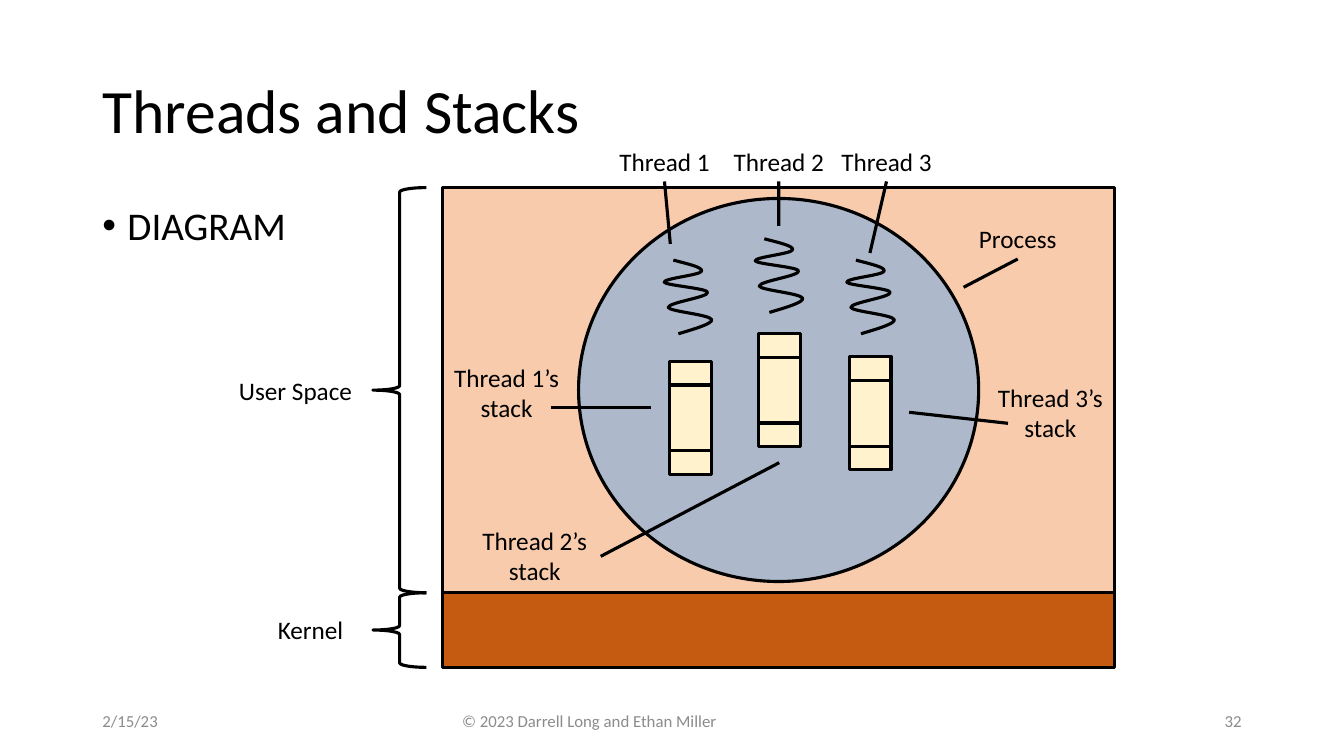
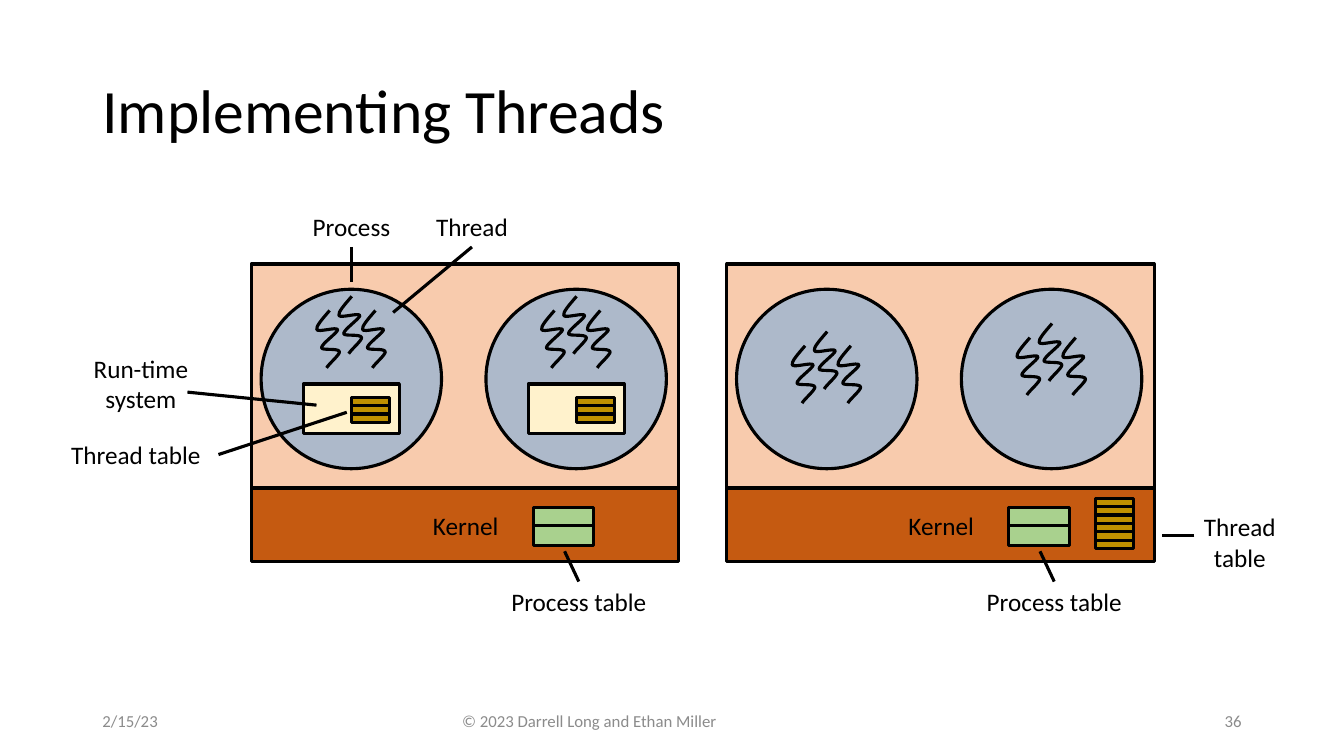
"""Build two slides that explain threads, their stacks and their implementation."""
from lxml import etree
from pptx import Presentation
from pptx.dml.color import RGBColor
from pptx.enum.shapes import MSO_CONNECTOR as Connector, MSO_SHAPE as Shape
from pptx.enum.text import MSO_ANCHOR as Anchor, PP_ALIGN as Align
from pptx.oxml.ns import qn
from pptx.util import Pt

FONT = "Calibri"
BLACK = RGBColor(0x00, 0x00, 0x00)
GRAY = RGBColor(0x8B, 0x8B, 0x8B)
USER_COLOR = RGBColor(0xF8, 0xCB, 0xAD)
KERNEL_COLOR = RGBColor(0xC5, 0x5A, 0x11)
PROCESS_COLOR = RGBColor(0xAD, 0xB9, 0xCA)
CREAM = RGBColor(0xFF, 0xF2, 0xCC)
GOLD = RGBColor(0xBF, 0x90, 0x00)
GREEN = RGBColor(0xA9, 0xD1, 0x8E)
LINE_WIDTH = Pt(2.25)
TOP, BOTTOM, RIGHT = 0, 2, 3

DATE = "2/15/23"
COPYRIGHT = "© 2023 Darrell Long and Ethan Miller"

SPRING = [
    ((10.8, 2.9), (20.9, 5), (20.2, 7.9)),
    ((19.4, 10.8), (-7.2, 13), (-6.5, 15.8)),
    ((-5.8, 18), (24.5, 20.2), (24.5, 23)),
    ((25.2, 26.6), (-3.6, 30.2), (-3.6, 33.8)),
    ((-2.9, 36.7), (25.9, 38.9), (27.4, 42.5)),
    ((28.1, 45.4), (15.8, 49), (3.6, 52.6)),
]
SQUIGGLE = [
    ((-5, 5.8), (-10.1, 11.5), (-9.2, 13.7)),
    ((-8, 15.8), (5, 11.5), (5.8, 13.7)),
    ((5.8, 15.8), (-5.8, 23.8), (-5.8, 26.6)),
    ((-5.8, 28.8), (6.5, 26.6), (7, 29.5)),
    ((7.2, 31.7), (-0.7, 38.2), (-2.2, 41)),
]
SQUIGGLE_OFFSETS = [(0, 0), (16.9, 10.1), (-15.8, 10.1)]

SPRING_STARTS = [(481, 185.8), (546, 170.6), (611.4, 185.8)]
STACK_CORNERS = [(478.4, 258), (542, 238.2), (606.8, 254.7)]
STACK_WIDTH, STACK_HEIGHTS = 29.7, (17, 47, 17)
SPACES = [
    ("User Space", USER_COLOR, 134, 289.4, (163.6, 264.6, 140.4), Align.LEFT),
    ("Kernel", KERNEL_COLOR, 423.4, 53.3, (172.1, 435.6, 99.4), Align.CENTER),
]

# Each callout: text, left, top, width, start (side of the label or a point), target
STACK_CALLOUTS = [
    ("Process", 678.4, 156.2, 97.2, BOTTOM, (688.3, 205.2)),
    ("Thread 1", 428.2, 100.8, 92.9, BOTTOM, (478.8, 174.2)),
    ("Thread 2", 509.8, 100.8, 92.9, BOTTOM, (556.3, 161.3)),
    ("Thread 3", 586.8, 100.8, 92.9, BOTTOM, (621.4, 180.7)),
    ("Thread 1’s stack", 315.4, 255.2, 92.9, (393.8, 290.9), (465.1, 290.9)),
    ("Thread 2’s stack", 335.5, 371.5, 92.9, (429.1, 397.4), (556.6, 330.5)),
    ("Thread 3’s stack", 703.8, 269.3, 92.9, (720, 302.4), (649.4, 294.5)),
]
IMPLEMENTATION_CALLOUTS = [
    ("Process", 205.4, 147.6, 91.4, BOTTOM, (251.1, 201.6)),
    ("Thread", 296.8, 147.6, 80.6, BOTTOM, (280.8, 223.2)),
    ("Run-time system", 38, 248.7, 125.3, (133.9, 280.1), (226.1, 289.4)),
    ("Thread table", 38, 310.3, 118.1, RIGHT, (247.7, 294.5)),
    ("Thread table", 833.4, 361.9, 104.4, (853.2, 382.8), (830.2, 382.8)),
]

PANEL_LEFTS = (179.5, 519.1)
PANEL_WIDTH = 305.3
CIRCLE_SHIFTS = (7, 167.6)
CIRCLE_TOP, CIRCLE_WIDTH, CIRCLE_HEIGHT = 206.6, 128.9, 128.2
SQUIGGLE_TOPS = ((211.7, 211.7), (236.9, 231.1))
TABLE_WIDTH, TABLE_ROW = 26.8, 6


def write(shape, text, size, color=BLACK, align=Align.CENTER, anchor=Anchor.TOP):
    frame = shape.text_frame
    frame.word_wrap = True
    frame.vertical_anchor = anchor
    paragraph = frame.paragraphs[0]
    paragraph.text = text
    paragraph.alignment = align
    font = paragraph.font
    font.name, font.size, font.color.rgb = FONT, Pt(size), color
    return paragraph


def add_text(slide, text, left, top, width, size=18, height=28.8, **style):
    box = slide.shapes.add_textbox(Pt(left), Pt(top), Pt(width), Pt(height))
    write(box, text, size, **style)
    return box


def outline(shape, fill=None):
    shape.shadow.inherit = False
    if fill is None:
        shape.fill.background()
    else:
        shape.fill.solid()
        shape.fill.fore_color.rgb = fill
    shape.line.color.rgb = BLACK
    shape.line.width = LINE_WIDTH


def add_figure(slide, kind, left, top, width, height, fill=None):
    shape = slide.shapes.add_shape(kind, Pt(left), Pt(top), Pt(width), Pt(height))
    outline(shape, fill)


def add_cells(slide, left, top, width, heights, fill):
    for height in heights:
        add_figure(slide, Shape.RECTANGLE, left, top, width, height, fill)
        top += height


def add_curve(slide, left, top, segments):
    builder = slide.shapes.build_freeform(Pt(left), Pt(top))
    ends = [(Pt(left + x), Pt(top + y)) for *_, (x, y) in segments]
    builder.add_line_segments(ends, close=False)
    shape = builder.convert_to_shape()
    lines = list(shape._element.iter(qn("a:lnTo")))
    for line, (*controls, _) in zip(lines, segments):
        line.tag = qn("a:cubicBezTo")
        for index, (x, y) in enumerate(controls):
            point = etree.Element(qn("a:pt"))
            point.set("x", str(Pt(left + x) - shape.left))
            point.set("y", str(Pt(top + y) - shape.top))
            line.insert(index, point)
    outline(shape)


def add_callout(slide, text, left, top, width, start, target):
    label = add_text(slide, text, left, top, width)
    joined = isinstance(start, int)
    x, y = target if joined else start
    line = slide.shapes.add_connector(Connector.STRAIGHT, Pt(x), Pt(y), *map(Pt, target))
    if joined:
        line.begin_connect(label, start)
    line.line.color.rgb = BLACK
    line.line.width = LINE_WIDTH
    etree.SubElement(line._element.spPr, qn("a:effectLst"))


def add_slide(presentation, title, number):
    slide = presentation.slides.add_slide(presentation.slide_layouts[5])
    shape = slide.shapes.title
    shape.left, shape.top, shape.width, shape.height = Pt(66), Pt(28.8), Pt(828), Pt(104.4)
    write(shape, title, 44, align=Align.LEFT, anchor=Anchor.MIDDLE).line_spacing = 0.9
    for text, left, width, align in [
        (DATE, 66, 98, Align.LEFT),
        (COPYRIGHT, 219, 404, Align.CENTER),
        (number, 678, 216, Align.RIGHT),
    ]:
        add_text(slide, text, left, 500.4, width, 12, color=GRAY, align=align, anchor=Anchor.MIDDLE)
    return slide


def add_bullet(slide, text):
    box = slide.shapes.add_textbox(Pt(66), Pt(144), Pt(828), Pt(342.7))
    properties = box.text_frame.paragraphs[0]._p.get_or_add_pPr()
    properties.set("marL", str(Pt(18)))
    properties.set("indent", str(-Pt(18)))
    etree.SubElement(properties, qn("a:buFont"), typeface="Arial")
    etree.SubElement(properties, qn("a:buChar"), char="•")
    write(box, text, 28, align=Align.LEFT).line_spacing = 0.9


def build_stacks(presentation):
    slide = add_slide(presentation, "Threads and Stacks", "32")
    add_bullet(slide, "DIAGRAM")
    for name, color, top, height, label, align in SPACES:
        add_figure(slide, Shape.RECTANGLE, 316.1, top, 480.2, height, color)
        add_figure(slide, Shape.LEFT_BRACE, 266.4, top, 38.2, height)
        add_text(slide, name, *label, align=align)
    add_figure(slide, Shape.OVAL, 413.3, 141.8, 285.8, 273.6, PROCESS_COLOR)
    for spring, stack in zip(SPRING_STARTS, STACK_CORNERS):
        add_curve(slide, *spring, SPRING)
        add_cells(slide, *stack, STACK_WIDTH, STACK_HEIGHTS, CREAM)
    for callout in STACK_CALLOUTS:
        add_callout(slide, *callout)


def add_panel(slide, left, squiggle_tops, user_level):
    add_figure(slide, Shape.RECTANGLE, left, 188.6, PANEL_WIDTH, 160, USER_COLOR)
    add_figure(slide, Shape.RECTANGLE, left, 348.6, PANEL_WIDTH, 52.5, KERNEL_COLOR)
    for shift, squiggle_top in zip(CIRCLE_SHIFTS, squiggle_tops):
        circle = left + shift
        middle = circle + 64.8
        add_figure(slide, Shape.OVAL, circle, CIRCLE_TOP, CIRCLE_WIDTH, CIRCLE_HEIGHT, PROCESS_COLOR)
        for dx, dy in SQUIGGLE_OFFSETS:
            add_curve(slide, middle + dx, squiggle_top + dy, SQUIGGLE)
        if user_level:
            add_figure(slide, Shape.RECTANGLE, circle + 30.2, 274.3, 68.6, 35.3, CREAM)
            add_cells(slide, middle, 283.7, TABLE_WIDTH, [TABLE_ROW] * 3, GOLD)
    if not user_level:
        add_cells(slide, left + 263.5, 355.9, TABLE_WIDTH, [TABLE_ROW] * 6, GOLD)
    add_text(slide, "Kernel", left + 100.6, 360.7, 105.1)
    add_cells(slide, left + 201.4, 362.7, 43.2, (12.5, 14.4), GREEN)
    add_callout(slide, "Process table", left + 171.3, 415.4, 125.3, TOP, (left + 223.8, 393.8))


def build_implementation(presentation):
    slide = add_slide(presentation, "Implementing Threads", "36")
    for left, tops, user_level in zip(PANEL_LEFTS, SQUIGGLE_TOPS, (True, False)):
        add_panel(slide, left, tops, user_level)
    for callout in IMPLEMENTATION_CALLOUTS:
        add_callout(slide, *callout)


def main():
    presentation = Presentation()
    presentation.slide_width, presentation.slide_height = Pt(960), Pt(540)
    build_stacks(presentation)
    build_implementation(presentation)
    presentation.save("out.pptx")


if __name__ == "__main__":
    main()
